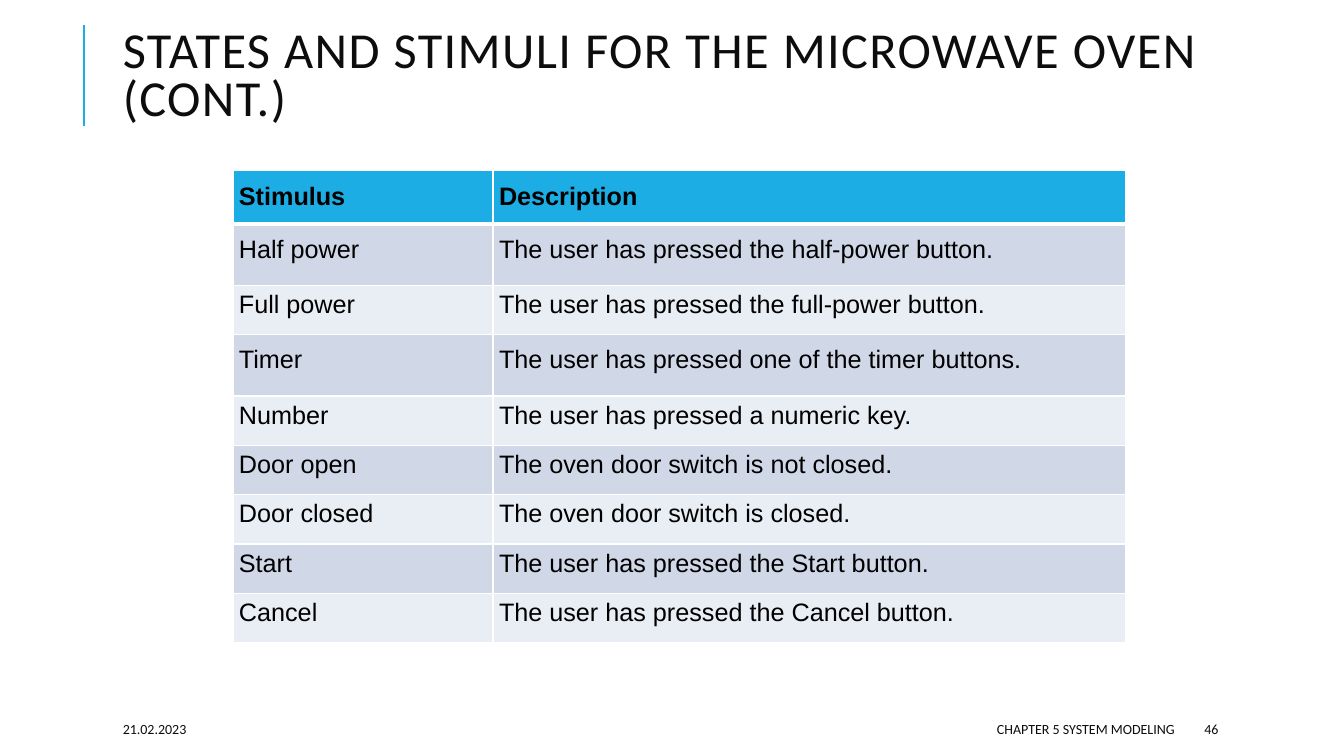
"""Build the slide listing the stimuli of the microwave oven."""
import dataclasses
import typing

import lxml.etree
import pptx
import pptx.dml.color
import pptx.enum.shapes
import pptx.enum.text
import pptx.oxml.ns
import pptx.util

ALIGN = pptx.enum.text.PP_ALIGN
MIDDLE = pptx.enum.text.MSO_ANCHOR.MIDDLE


@dataclasses.dataclass(frozen=True)
class Theme:
    accent: str = "1CADE4"
    ink: str = "0D0D0D"
    table_ink: str = "000000"
    border: str = "FFFFFF"
    bands: tuple[str, str] = ("D0D8E8", "E9EDF4")
    heading_font: str = "Calibri"
    table_font: str = "Arial"
    title_size: int = 36
    table_size: int = 18
    footer_size: int = 10
    rule_width: float = 1.5
    border_width: int = 1
    header_border_width: int = 3


class Label(typing.NamedTuple):
    text: str
    left: float
    top: float
    width: float
    height: float
    size: int
    align: ALIGN = ALIGN.LEFT
    line_spacing: float = 1.0
    tracking: int = 0


class Stimulus(typing.NamedTuple):
    name: str
    description: str
    height: float


THEME = Theme()
SLIDE_WIDTH = pptx.util.Inches(13.333)
SLIDE_HEIGHT = pptx.util.Inches(7.5)
FOOTER_TOP, FOOTER_HEIGHT = 94.4, 4
TABLE_LEFT, TABLE_TOP = 17.33, 22.53
COLUMN_WIDTHS = (19.35, 47.1)
HEADER_ROW, TALL_ROW, ROW = 7.07, 8.13, 6.53

LABELS = (
    Label("STATES AND STIMULI FOR THE MICROWAVE OVEN (CONT.)", 8.4, 1.47, 88.5, 17.73,
          THEME.title_size, line_spacing=0.8, tracking=100),
    Label("21.02.2023", 8.4, FOOTER_TOP, 17.7, FOOTER_HEIGHT, THEME.footer_size),
    Label("CHAPTER 5 SYSTEM MODELING", 39.75, FOOTER_TOP, 48.38, FOOTER_HEIGHT,
          THEME.footer_size, ALIGN.RIGHT),
    Label("46", 88.88, FOOTER_TOP, 7.95, FOOTER_HEIGHT, THEME.footer_size),
)

STIMULI = (
    Stimulus("Stimulus", "Description", HEADER_ROW),
    Stimulus("Half power", "The user has pressed the half-power button.", TALL_ROW),
    Stimulus("Full power", "The user has pressed the full-power button.", ROW),
    Stimulus("Timer", "The user has pressed one of the timer buttons.", TALL_ROW),
    Stimulus("Number", "The user has pressed a numeric key.", ROW),
    Stimulus("Door open", "The oven door switch is not closed.", ROW),
    Stimulus("Door closed", "The oven door switch is closed.", ROW),
    Stimulus("Start", "The user has pressed the Start button.", ROW),
    Stimulus("Cancel", "The user has pressed the Cancel button.", ROW),
)


def across(percent: float) -> int:
    return round(SLIDE_WIDTH * percent / 100)


def down(percent: float) -> int:
    return round(SLIDE_HEIGHT * percent / 100)


def rgb(value: str) -> pptx.dml.color.RGBColor:
    return pptx.dml.color.RGBColor.from_string(value)


def write(frame, text: str, *, size: int, font: str = THEME.heading_font,
          color: str = THEME.ink, bold: bool = False, align: ALIGN = ALIGN.LEFT,
          line_spacing: float = 1.0, tracking: int = 0) -> None:
    paragraph = frame.paragraphs[0]
    paragraph.alignment = align
    paragraph.line_spacing = line_spacing
    run = paragraph.add_run()
    run.text = text
    run.font.size = pptx.util.Pt(size)
    run.font.name = font
    run.font.bold = bold
    run.font.color.rgb = rgb(color)
    if tracking:
        run._r.get_or_add_rPr().set("spc", str(tracking))


def draw_label(slide, label: Label) -> None:
    frame = slide.shapes.add_textbox(across(label.left), down(label.top),
                                     across(label.width), down(label.height)).text_frame
    frame.word_wrap = True
    frame.vertical_anchor = MIDDLE
    write(frame, label.text, size=label.size, align=label.align,
          line_spacing=label.line_spacing, tracking=label.tracking)


def draw_title_rule(slide) -> None:
    rule = slide.shapes.add_connector(pptx.enum.shapes.MSO_CONNECTOR.STRAIGHT,
                                      across(6.25), down(16.67), across(6.25), down(3.33))
    rule.line.color.rgb = rgb(THEME.accent)
    rule.line.width = pptx.util.Pt(THEME.rule_width)
    lxml.etree.SubElement(rule._element.spPr, pptx.oxml.ns.qn("a:effectLst"))


def draw_borders(cell, row: int) -> None:
    properties = cell._tc.get_or_add_tcPr()
    thick_side = {0: "lnB", 1: "lnT"}.get(row)
    for side in ("lnL", "lnR", "lnT", "lnB"):
        points = THEME.header_border_width if side == thick_side else THEME.border_width
        edge = lxml.etree.SubElement(properties, pptx.oxml.ns.qn(f"a:{side}"),
                                     w=str(pptx.util.Pt(points)))
        fill = lxml.etree.SubElement(edge, pptx.oxml.ns.qn("a:solidFill"))
        lxml.etree.SubElement(fill, pptx.oxml.ns.qn("a:srgbClr"), val=THEME.border)


def draw_cell(cell, text: str, row: int) -> None:
    header = row == 0
    draw_borders(cell, row)
    cell.fill.solid()
    cell.fill.fore_color.rgb = rgb(THEME.accent if header else THEME.bands[(row - 1) % 2])
    cell.vertical_anchor = MIDDLE
    cell.margin_left = cell.margin_right = pptx.util.Inches(0.06)
    cell.margin_top = pptx.util.Inches(0.1 if header else 0)
    cell.margin_bottom = pptx.util.Inches(0.1)
    write(cell.text_frame, text, size=THEME.table_size, font=THEME.table_font,
          color=THEME.table_ink, bold=header, align=ALIGN.JUSTIFY)


def draw_stimuli(slide) -> None:
    table = slide.shapes.add_table(
        len(STIMULI), len(COLUMN_WIDTHS), across(TABLE_LEFT), down(TABLE_TOP),
        across(sum(COLUMN_WIDTHS)), down(sum(item.height for item in STIMULI))).table
    table.horz_banding = False
    for column, width in zip(table.columns, COLUMN_WIDTHS):
        column.width = across(width)
    for row, stimulus in enumerate(STIMULI):
        table.rows[row].height = down(stimulus.height)
        for column, text in enumerate((stimulus.name, stimulus.description)):
            draw_cell(table.cell(row, column), text, row)


def main() -> None:
    presentation = pptx.Presentation()
    presentation.slide_width = SLIDE_WIDTH
    presentation.slide_height = SLIDE_HEIGHT
    slide = presentation.slides.add_slide(presentation.slide_layouts[6])
    draw_title_rule(slide)
    for label in LABELS:
        draw_label(slide, label)
    draw_stimuli(slide)
    presentation.save("out.pptx")


if __name__ == "__main__":
    main()
